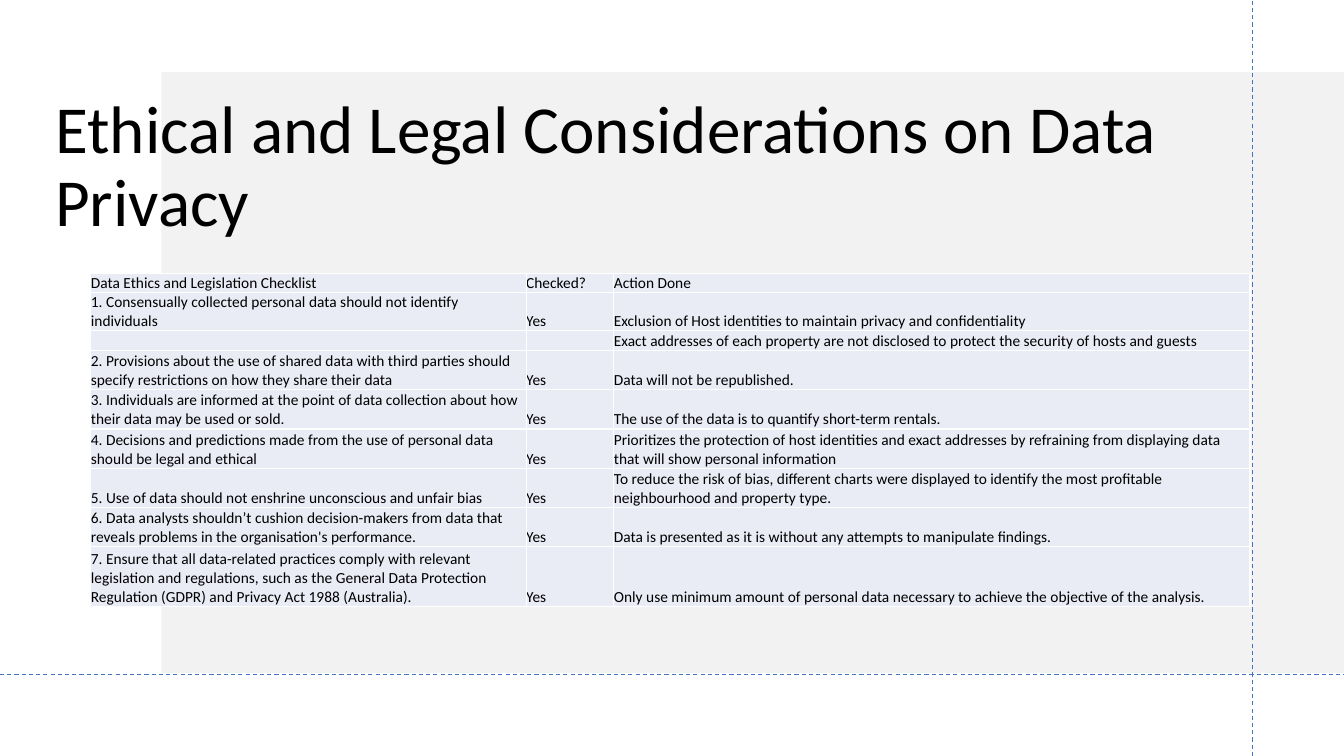
from dataclasses import dataclass

from lxml import etree
from pptx import Presentation
from pptx.dml.color import RGBColor
from pptx.enum.dml import MSO_LINE
from pptx.enum.shapes import MSO_CONNECTOR, MSO_SHAPE
from pptx.enum.text import MSO_ANCHOR, MSO_AUTO_SIZE, PP_ALIGN
from pptx.oxml.ns import qn
from pptx.util import Cm, Pt

DASH = MSO_LINE.DASH
STRAIGHT = MSO_CONNECTOR.STRAIGHT
RECTANGLE = MSO_SHAPE.RECTANGLE
BOTTOM = MSO_ANCHOR.BOTTOM
LEFT = PP_ALIGN.LEFT
NO_FIT = MSO_AUTO_SIZE.NONE
TITLE_ONLY = 5


@dataclass(frozen=True)
class Theme:
    font: str = "Calibri"
    text: str = "000000"
    panel: str = "E7E6E6"
    panel_alpha: int = 50
    guide: str = "4472C4"
    cell: str = "E9EBF5"
    border: str = "FFFFFF"
    title_size: int = 48
    table_size: int = 11
    guide_width: float = 0.75
    border_width: float = 1


THEME = Theme()
PAGE_WIDTH, PAGE_HEIGHT = 33.87, 19.05
GUIDE_X, GUIDE_Y = 31.57, 16.99

TITLE = "Ethical and Legal Considerations on Data Privacy"
COLUMN_WIDTHS = (10.97, 2.21, 16.03)
# Each row: height, check, answer, action
CHECKLIST = [
    (0.36, "Data Ethics and Legislation Checklist", "Checked?", "Action Done"),
    (0.5, "1. Consensually collected personal data should not identify individuals", "Yes",
     "Exclusion of Host identities to maintain privacy and confidentiality"),
    (0.5, "", "",
     "Exact addresses of each property are not disclosed to protect the security of hosts and guests"),
    (0.99, "2. Provisions about the use of shared data with third parties should specify "
     "restrictions on how they share their data", "Yes",
     "Data will not be republished."),
    (0.99, "3. Individuals are informed at the point of data collection about how their data "
     "may be used or sold.", "Yes",
     "The use of the data is to quantify short-term rentals."),
    (0.99, "4. Decisions and predictions made from the use of personal data should be legal "
     "and ethical", "Yes",
     "Prioritizes the protection of host identities and exact addresses by refraining from "
     "displaying data that will show personal information"),
    (0.99, "5. Use of data should not enshrine unconscious and unfair bias", "Yes",
     "To reduce the risk of bias, different charts were displayed to identify the most "
     "profitable neighbourhood and property type."),
    (0.99, "6. Data analysts shouldn’t cushion decision-makers from data that reveals problems "
     "in the organisation's performance.", "Yes",
     "Data is presented as it is without any attempts to manipulate findings."),
    (1.5, "7. Ensure that all data-related practices comply with relevant legislation and "
     "regulations, such as the General Data Protection Regulation (GDPR) and Privacy Act 1988 "
     "(Australia).", "Yes",
     "Only use minimum amount of personal data necessary to achieve the objective of the analysis."),
]


def color(value):
    return RGBColor.from_string(value)


def add_span(para, text, size):
    span = para.add_run()
    span.text = text
    span.font.name = THEME.font
    span.font.size = Pt(size)
    span.font.color.rgb = color(THEME.text)


def add_panel(page, left, top, width, height):
    panel = page.shapes.add_shape(RECTANGLE, Cm(left), Cm(top), Cm(width), Cm(height))
    panel.shadow.inherit = False
    panel.line.fill.background()
    panel.fill.solid()
    panel.fill.fore_color.rgb = color(THEME.panel)
    tint = panel._element.spPr.find(qn("a:solidFill"))[0]
    etree.SubElement(tint, qn("a:alpha"), val=str(THEME.panel_alpha * 1000))
    # Behind the title placeholder
    page.shapes._spTree.insert(2, panel._element)


def add_title(page, left, top, width, height):
    title = page.shapes.title
    title.left, title.top, title.width, title.height = map(Cm, (left, top, width, height))
    frame = title.text_frame
    frame.word_wrap = True
    frame.auto_size = NO_FIT
    frame.vertical_anchor = BOTTOM
    para = frame.paragraphs[0]
    para.alignment = LEFT
    para.line_spacing = 0.9
    para.space_before = Pt(0)
    para.space_after = Pt(6)
    add_span(para, TITLE, THEME.title_size)


def add_guide(page, start, end):
    guide = page.shapes.add_connector(STRAIGHT, *map(Cm, start + end))
    guide.line.color.rgb = color(THEME.guide)
    guide.line.width = Pt(THEME.guide_width)
    guide.line.dash_style = DASH
    etree.SubElement(guide._element.spPr, qn("a:effectLst"))


def format_cell(cell, text):
    cell.margin_left = cell.margin_right = cell.margin_top = cell.margin_bottom = 0
    cell.vertical_anchor = BOTTOM
    properties = cell._tc.get_or_add_tcPr()
    for side in ("lnL", "lnR", "lnT", "lnB"):
        line = etree.SubElement(properties, qn(f"a:{side}"), w=str(Pt(THEME.border_width)))
        fill = etree.SubElement(line, qn("a:solidFill"))
        etree.SubElement(fill, qn("a:srgbClr"), val=THEME.border)
    cell.fill.solid()
    cell.fill.fore_color.rgb = color(THEME.cell)
    para = cell.text_frame.paragraphs[0]
    if text:
        add_span(para, text, THEME.table_size)
    else:
        # Keeps an empty cell as low as a line of table text
        etree.SubElement(para._p, qn("a:endParaRPr"), sz=str(THEME.table_size * 100))


def add_checklist(page, left, top, width, height):
    frame = page.shapes.add_table(len(CHECKLIST), len(COLUMN_WIDTHS),
                                  Cm(left), Cm(top), Cm(width), Cm(height))
    table = frame.table
    table.first_row = False
    table.horz_banding = False
    for column, column_width in zip(table.columns, COLUMN_WIDTHS):
        column.width = Cm(column_width)
    for row, (row_height, *texts) in zip(table.rows, CHECKLIST):
        row.height = Cm(row_height)
        for cell, text in zip(row.cells, texts):
            format_cell(cell, text)


def main():
    deck = Presentation()
    deck.slide_width, deck.slide_height = Cm(PAGE_WIDTH), Cm(PAGE_HEIGHT)
    page = deck.slides.add_slide(deck.slide_layouts[TITLE_ONLY])

    # Background panel and title
    add_panel(page, 4.07, 1.82, PAGE_WIDTH - 4.07, 15.14)
    add_title(page, 1.14, 0.33, 29.26, 5.87)

    # Dashed guides
    add_guide(page, (0, GUIDE_Y), (PAGE_WIDTH, GUIDE_Y))
    add_guide(page, (GUIDE_X, PAGE_HEIGHT), (GUIDE_X, 0))

    # Checklist table
    add_checklist(page, 2.29, 6.89, sum(COLUMN_WIDTHS), sum(row[0] for row in CHECKLIST))

    deck.save("out.pptx")


if __name__ == "__main__":
    main()
